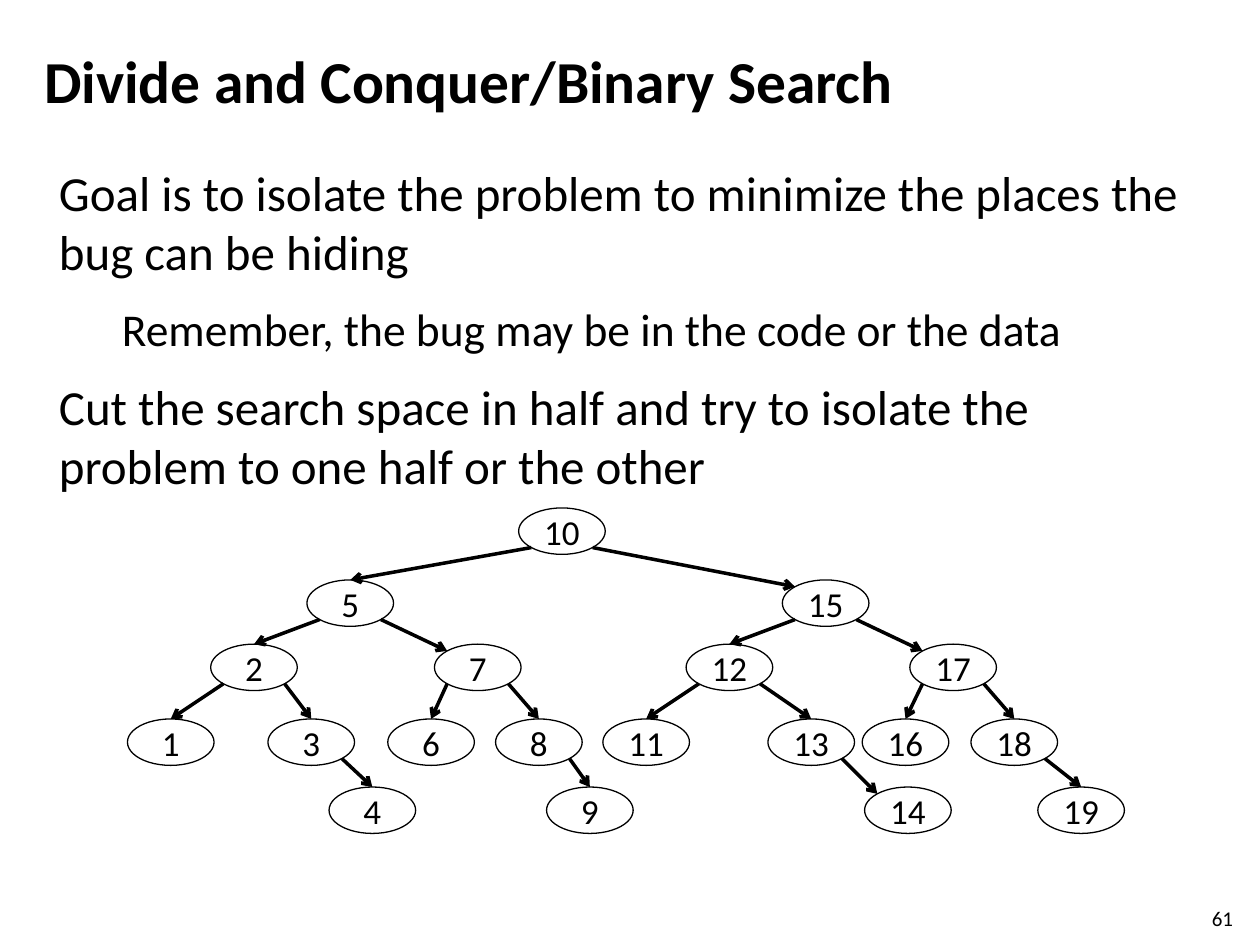
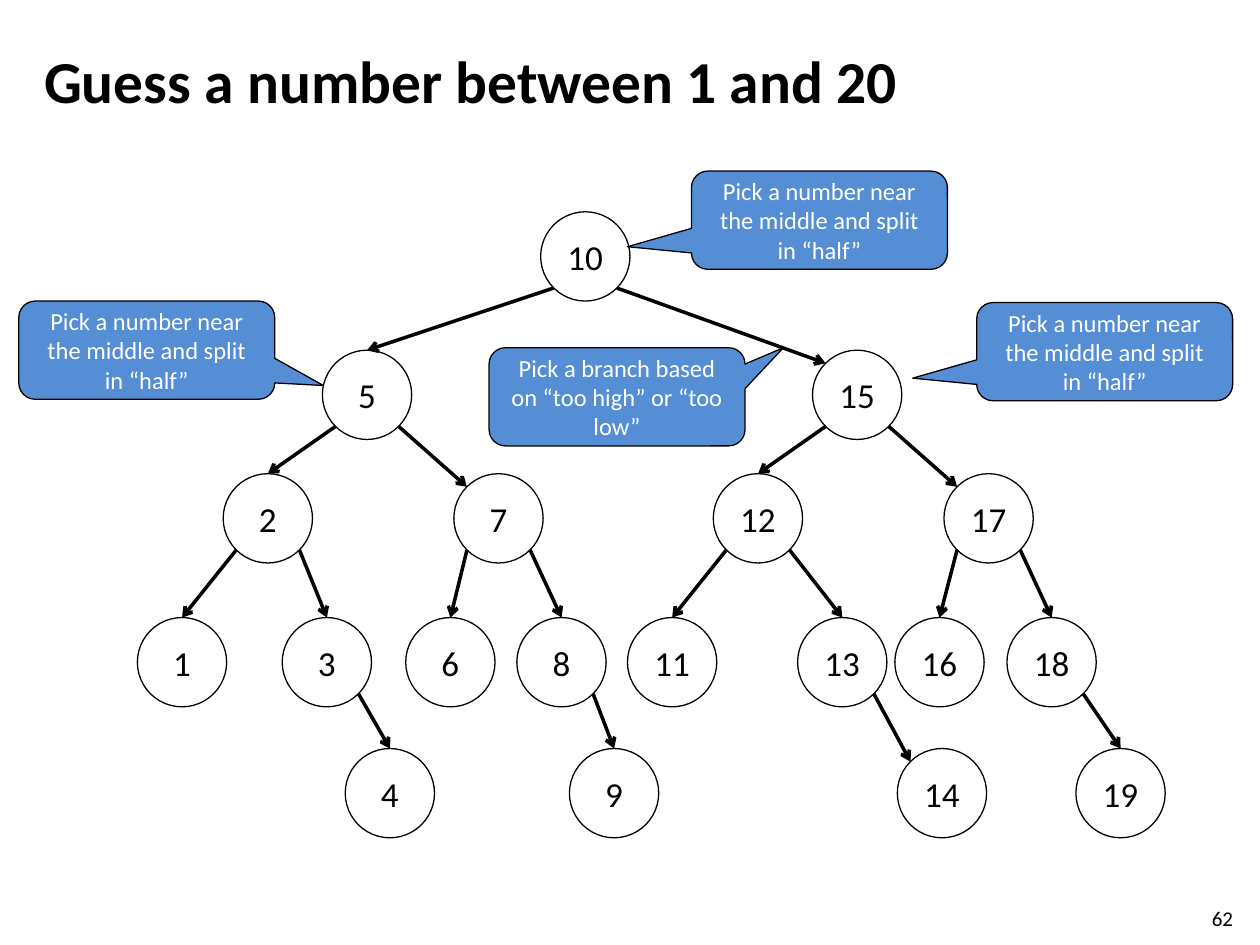
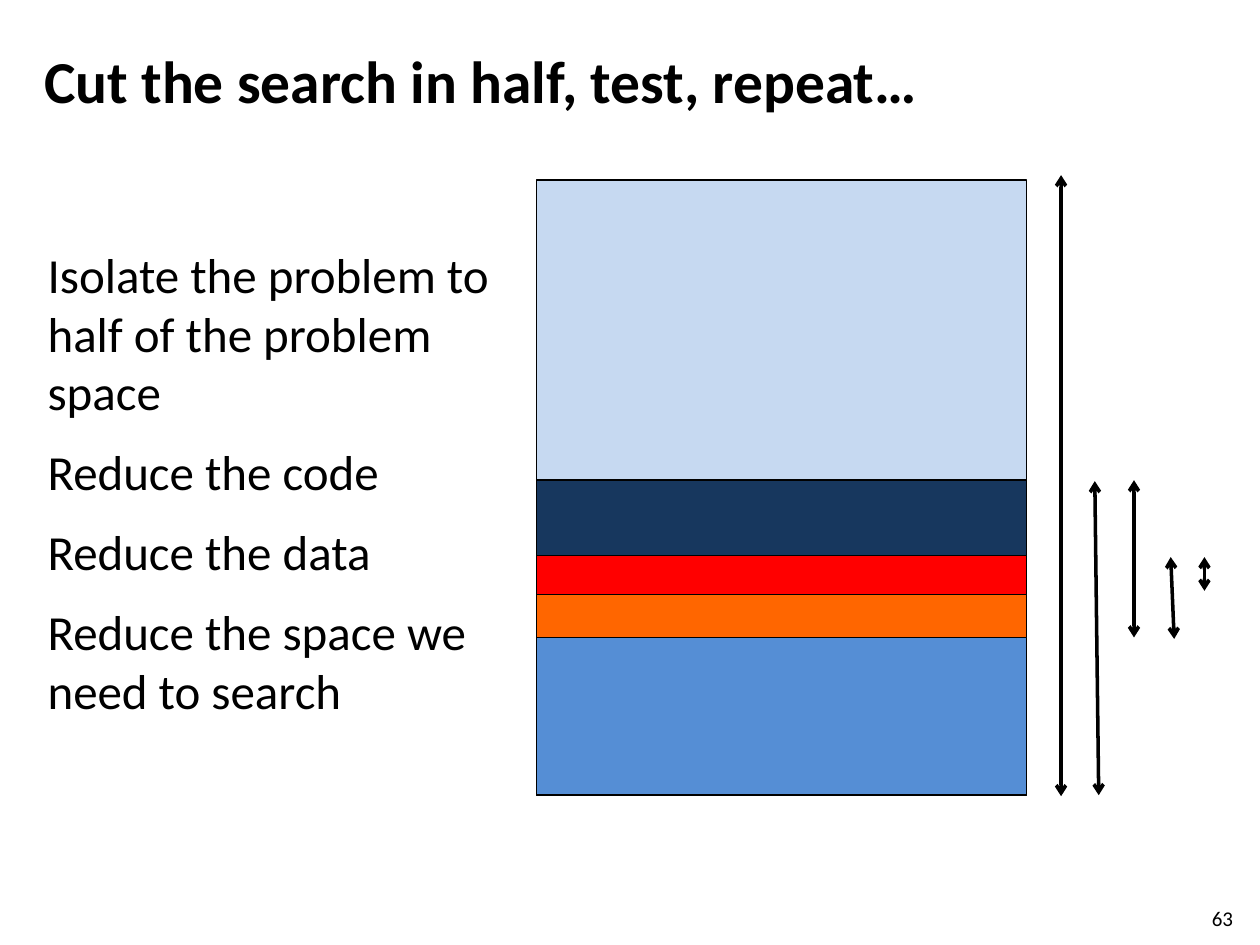
from dataclasses import dataclass
from itertools import pairwise

from lxml.etree import SubElement
from pptx import Presentation
from pptx.dml.color import RGBColor
from pptx.enum.shapes import MSO_CONNECTOR, MSO_SHAPE
from pptx.enum.text import MSO_ANCHOR, PP_ALIGN
from pptx.oxml.ns import qn
from pptx.util import Cm, Pt


@dataclass(frozen=True)
class Theme:
    font: str = "Calibri"
    ink: RGBColor = RGBColor(0x00, 0x00, 0x00)
    paper: RGBColor = RGBColor(0xFF, 0xFF, 0xFF)
    pale: RGBColor = RGBColor(0xC6, 0xD9, 0xF1)
    blue: RGBColor = RGBColor(0x55, 0x8E, 0xD5)
    navy: RGBColor = RGBColor(0x17, 0x37, 0x5E)
    red: RGBColor = RGBColor(0xFF, 0x00, 0x00)
    orange: RGBColor = RGBColor(0xFF, 0x66, 0x00)
    title_size: int = 34
    body_sizes: tuple = (28, 26)
    node_size: int = 20
    callout_size: int = 14
    number_size: int = 12
    outline: float = 0.75
    arrow: float = 2


THEME = Theme()

# Content: titles and body text as (level, words)
FIRST_NUMBER = 61
TITLES = [
    "Divide and Conquer/Binary Search",
    "Guess a number between 1 and 20",
    "Cut the search in half, test, repeat…",
]
GOAL = [
    (0, "Goal is to isolate the problem to minimize the places the bug can be hiding"),
    (1, "Remember, the bug may be in the code or the data"),
    (0, "Cut the search space in half and try to isolate the problem to one half or the other"),
]
STEPS = [
    (0, "Isolate the problem to half of the problem space"),
    (0, "Reduce the code"),
    (0, "Reduce the data"),
    (0, "Reduce the space we need to search"),
]

# Search tree: each level has its top and the left edge of every guess, in cm
NODE = 1.8
LEVELS = [
    (0, {10: 8.13}),
    (2.79, {5: 3.73, 15: 13.61}),
    (5.28, {2: 1.73, 7: 6.38, 12: 11.61, 17: 16.26}),
    (8.18, {1: 0, 3: 2.92, 6: 5.41, 8: 7.65, 11: 9.88, 13: 13.31, 16: 15.27, 18: 17.53}),
    (10.82, {4: 4.19, 9: 8.71, 14: 15.32, 19: 18.92}),
]
BRANCHES = {10: (5, 15), 5: (2, 7), 15: (12, 17), 2: (1, 3), 7: (6, 8), 12: (11, 13),
            17: (16, 18), 3: (4,), 8: (9,), 13: (14,), 18: (19,)}
ENTERED_AT_CORNER = {7, 14, 15, 17}
SMALL_TREE = {"left": 2.57, "top": 10.24, "x_scale": 0.97, "y_scale": 0.52}
LARGE_TREE = {"left": 2.77, "top": 4.27, "x_scale": 1, "y_scale": 1}

# Callouts: left, top, pointer, words
SPLIT = "Pick a number near the middle and split in “half”"
BRANCH = "Pick a branch based on “too high” or “too low”"
CALLOUT = (5.16, 1.98)
CALLOUTS = [
    (13.94, 3.45, (-0.75, 0.27), SPLIT),
    (9.86, 7.01, (0.65, -0.5), BRANCH),
    (19.69, 6.1, (-0.75, 0.27), SPLIT),
    (0.38, 6.07, (0.69, 0.36), SPLIT),
]

# Search space: one column cut into bands, and the range left after each test
SPACE_LEFT, SPACE_WIDTH = 10.82, 9.88
SPACE_TOP, SPACE_BOTTOM = 3.63, 16.03
BAND_EDGES = [9.68, 11.2, 11.99, 12.85, SPACE_BOTTOM]
BAND_COLOURS = [THEME.navy, THEME.red, THEME.orange, THEME.blue]
RANGES = [
    ((21.39, 3.53), (21.39, 16.05)),
    ((22.07, 9.7), (22.15, 16.03)),
    ((22.86, 9.68), (22.86, 12.85)),
    ((23.6, 11.23), (23.67, 12.88)),
    ((24.28, 11.23), (24.28, 11.91)),
]


def apply(target, formats):
    for name, value in formats.items():
        setattr(target, name, value)


def style_font(paragraph, size, colour=THEME.ink, bold=False):
    apply(paragraph.font, {"name": THEME.font, "size": Pt(size), "bold": bold})
    paragraph.font.color.rgb = colour


def add_text(slide, box, paragraphs, sizes, bold=False):
    frame = slide.shapes.add_textbox(*map(Cm, box)).text_frame
    frame.word_wrap = True
    for index, (level, words) in enumerate(paragraphs):
        paragraph = frame.paragraphs[0] if index == 0 else frame.add_paragraph()
        if level:
            paragraph.level = level
            paragraph._p.get_or_add_pPr().set("marL", str(Cm(1.27 * level)))
        apply(paragraph, {"text": words, "space_after": Pt(12)})
        style_font(paragraph, sizes[level], bold=bold)


def add_outlined(slide, kind, box, fill=None, words="", size=THEME.node_size,
                 colour=THEME.ink, margin=0.0):
    shape = slide.shapes.add_shape(kind, *map(Cm, box))
    shape.shadow.inherit = False
    if fill is None:
        shape.fill.background()
    else:
        shape.fill.solid()
        shape.fill.fore_color.rgb = fill
    shape.line.color.rgb = THEME.ink
    shape.line.width = Pt(THEME.outline)
    if words:
        frame = shape.text_frame
        apply(frame, {"word_wrap": margin > 0, "vertical_anchor": MSO_ANCHOR.MIDDLE,
                      "margin_left": Cm(margin), "margin_right": Cm(margin),
                      "margin_top": 0, "margin_bottom": 0})
        apply(frame.paragraphs[0], {"text": words, "alignment": PP_ALIGN.CENTER})
        style_font(frame.paragraphs[0], size, colour)
    return shape


def add_arrow(slide, start, end, ends=("tailEnd",)):
    arrow = slide.shapes.add_connector(MSO_CONNECTOR.STRAIGHT, *map(Cm, (*start, *end)))
    arrow.line.color.rgb = THEME.ink
    arrow.line.width = Pt(THEME.arrow)
    properties = arrow.element.spPr
    for tip in ends:
        SubElement(properties.find(qn("a:ln")), qn(f"a:{tip}")).set("type", "arrow")
    SubElement(properties, qn("a:effectLst"))


def add_tree(slide, left, top, x_scale, y_scale):
    width, height = NODE * x_scale, NODE * y_scale
    centres = {
        guess: (left + x * x_scale + width / 2, top + y * y_scale + height / 2)
        for y, guesses in LEVELS for guess, x in guesses.items()
    }

    def rim(guess, across, down):
        x, y = centres[guess]
        return x + across * width / 2, y + down * height / 2

    diagonal = 0.5 ** 0.5
    for guess, (x, y) in centres.items():
        add_outlined(slide, MSO_SHAPE.OVAL, (x - width / 2, y - height / 2, width, height),
                     words=str(guess))
    for parent, children in BRANCHES.items():
        for child in children:
            side = -diagonal if child < parent else diagonal
            entry = (-diagonal, -diagonal) if child in ENTERED_AT_CORNER else (0, -1)
            add_arrow(slide, rim(parent, side, diagonal), rim(child, *entry))


def add_callouts(slide):
    for left, top, pointer, words in CALLOUTS:
        callout = add_outlined(slide, MSO_SHAPE.ROUNDED_RECTANGULAR_CALLOUT,
                               (left, top, *CALLOUT), THEME.blue, words,
                               THEME.callout_size, THEME.paper, margin=0.25)
        for index, offset in enumerate(pointer):
            callout.adjustments[index] = offset


def add_search_space(slide):
    spans = [(SPACE_TOP, SPACE_BOTTOM), *pairwise(BAND_EDGES)]
    for (top, bottom), colour in zip(spans, [THEME.pale, *BAND_COLOURS]):
        add_outlined(slide, MSO_SHAPE.RECTANGLE,
                     (SPACE_LEFT, top, SPACE_WIDTH, bottom - top), colour)
    for start, end in RANGES:
        add_arrow(slide, start, end, ("headEnd", "tailEnd"))


def main():
    deck = Presentation()
    apply(deck, {"slide_width": Cm(25.4), "slide_height": Cm(19.05)})

    # Title and slide number on every slide
    slides = []
    for number, title in enumerate(TITLES, FIRST_NUMBER):
        slide = deck.slides.add_slide(deck.slide_layouts[6])
        add_text(slide, (0.64, 0.76, 22.02, 1.78), [(0, title)], [THEME.title_size], bold=True)
        add_text(slide, (24.18, 18.14, 1.02, 0.61), [(0, str(number))], [THEME.number_size])
        slides.append(slide)
    divide, guess, cut = slides

    # Divide and conquer
    add_text(divide, (0.94, 3.15, 23.5, 12.52), GOAL, THEME.body_sizes)
    add_tree(divide, **SMALL_TREE)

    # Guessing game
    add_tree(guess, **LARGE_TREE)
    add_callouts(guess)

    # Halving the search space
    add_text(cut, (0.71, 4.8, 9.68, 8.64), STEPS, THEME.body_sizes)
    add_search_space(cut)

    deck.save("out.pptx")


if __name__ == "__main__":
    main()
